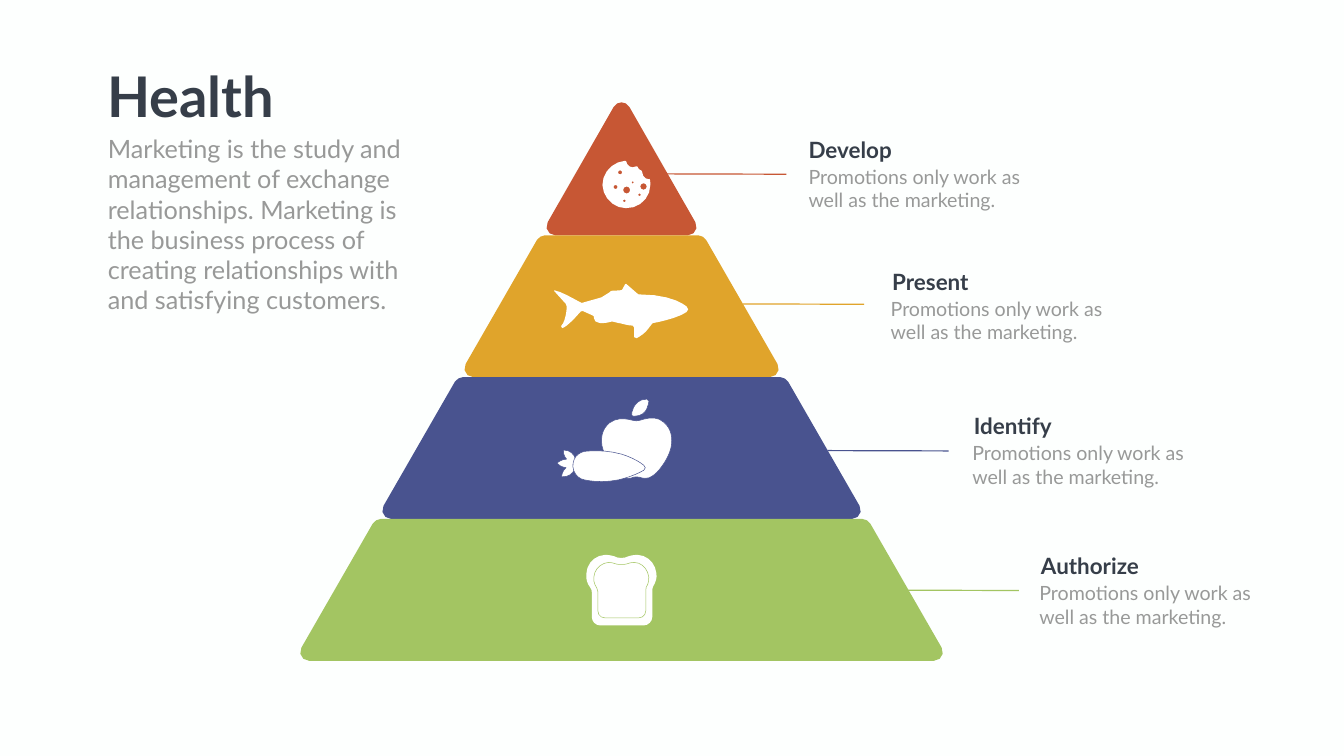
from math import cos, dist, pi, sin

from lxml import etree
from pptx import Presentation
from pptx.dml.color import RGBColor
from pptx.enum.shapes import MSO_CONNECTOR
from pptx.enum.text import MSO_AUTO_SIZE
from pptx.oxml.ns import qn
from pptx.util import Pt

STRAIGHT = MSO_CONNECTOR.STRAIGHT
GROW = MSO_AUTO_SIZE.SHAPE_TO_FIT_TEXT
WHITE = "FFFFFF"
ICON_UNIT = 0.72
CENTRE = 887.7
TIER_TOP, TIER_STEP = 336.2, 202.6
PEAK_TOP, PEAK_WIDTH, WIDTH_STEP = 144, 221, 234.5
LINE_LENGTH, LINE_DROP = 172.8, 0.5

HEADING = {"name": "Lato", "size": Pt(80), "bold": True}
INTRO = {"name": "Lato", "size": Pt(36)}
LABEL = {"name": "Lato", "size": Pt(32), "bold": True}
BODY = {"name": "Lato", "size": Pt(28)}
DARK, GREY = "363E49", "989998"

PEAK = "M 99.4 8.6 C 101.9 4.3 106.2 2.2 110.5 2.2"
SHOULDER = "M 107 6.5 C 109.5 2.9 114 0 118 0"

COOKIE = ("M 79 23 L 78 20 C 74 19 70 15 69 11 L 67 11 C 65 12 62 13 60 13 "
          "C 53 13 48 7 47 1 L 45 0 C 20 2 0 23 0 48 C 1 73 22 94 46 94 "
          "C 73 95 95 74 95 48 C 95 44 95 40 94 36 L 93 37 C 85 37 79 30 79 23")
CHIPS = [(26, 52, 4), (35, 23, 4), (43.5, 79.5, 2.5), (48, 58, 7), (60, 43, 2),
         (73.5, 67.5, 2.5), (81.5, 51, 6.5)]
FISH = ("M 263 45 C 253 37 226 21 168 21 L 166 20 L 143 0 L 141 1 L 135 12 L 131 13 "
        "L 113 14 L 110 17 L 94 27 L 55 38 L 53 37 C 46 34 17 16 1 13 L 0 14 "
        "L 19 35 C 24 39 26 44 25 50 C 24 61 21 77 14 84 C 12 86 14 89 16 88 "
        "C 21 87 31 80 53 55 L 57 54 L 77 63 L 79 65 L 79 68 "
        "C 80 73 83 77 88 77 C 90 78 93 78 97 78 C 104 78 110 76 114 75 L 116 75 "
        "C 121 76 127 78 134 79 C 141 81 150 83 156 83 C 158 83 159 85 159 87 L 159 106 "
        "C 159 108 162 110 164 108 C 169 105 176 101 182 95 C 187 89 191 84 194 80 "
        "L 196 78 C 209 76 248 67 263 56 C 267 54 267 48 263 45")
FISH_EYE = "M 0 7 C 0 10 2 12 5 12 C 8 12 11 10 11 7 C 11 3 8 0 5 0 C 2 0 0 3 0 7"
APPLE = ("M 138 37 C 136 28 131 20 124 14 C 109 0 89 6 76 10 C 74 11 70 11 69 11 "
         "C 68 11 65 11 62 10 C 51 7 32 3 16 15 C 9 21 5 27 2 36 C 0 43 0 51 1 60 "
         "C 4 73 10 87 19 99 C 28 112 38 121 46 124 C 54 126 59 125 63 123 "
         "C 65 122 68 122 69 122 C 72 122 74 122 76 123 C 79 124 82 125 86 125 "
         "C 88 125 90 125 94 124 C 102 121 111 114 120 101 C 128 90 135 77 138 64 "
         "C 140 54 140 45 138 37")
LEAF = ("M 4 34 C 20 34 27 26 30 19 C 34 12 34 4 34 4 C 34 2 32 0 30 0 C 15 0 8 9 4 16 "
        "C 0 23 0 30 0 30 L 1 33 L 4 34")
CARROT_TOP = ("M 13 0 L 12 1 C 11 7 14 14 18 18 C 11 18 5 21 0 25 L 0 27 "
              "C 5 32 11 34 17 35 C 12 39 9 45 8 52 L 9 53 "
              "C 23 54 35 44 36 30 L 35 29 L 37 26 C 37 12 27 0 13 0")
CARROT = ("M 99 8 C 70 0 45 1 31 2 C 22 2 14 6 8 13 C 1 23 0 37 8 48 C 12 54 19 58 25 59 "
          "C 39 62 63 65 93 59 C 114 54 131 47 143 40 C 147 38 147 32 143 30 "
          "C 133 22 118 14 99 8")
BREAD = ("M 140 36 C 138 17 123 1 103 0 C 96 0 90 1 84 3 C 80 5 76 6 72 6 L 69 6 "
         "C 65 6 60 5 57 3 C 51 1 45 0 38 0 C 18 1 2 17 1 38 C 0 48 3 57 9 65 "
         "C 11 67 12 71 12 74 L 12 123 C 12 132 19 140 29 140 L 115 140 "
         "C 124 140 132 132 132 123 L 132 70 C 132 67 133 64 134 62 C 138 55 142 46 140 36")
CRUMB = ("M 81 0 C 76 0 71 1 66 3 C 63 4 60 4 57 4 L 54 4 C 51 4 48 4 45 3 C 40 1 35 0 30 0 "
         "C 15 1 2 14 1 29 C 0 38 3 45 7 51 C 9 53 9 56 9 58 L 9 96 C 9 104 15 110 23 110 "
         "L 90 110 C 98 110 104 104 104 96 L 104 55 C 104 53 104 50 105 49 "
         "C 109 43 110 37 110 29 C 108 13 96 0 81 0")

TIERS = [
    {"title": "Develop", "color": "C75734", "line": (950.4, 248.4), "label": (1147.7, 190.8),
     "indent": 0, "icon": [(860.4, 229.7, COOKIE, CHIPS, False)]},
    {"title": "Present", "color": "E0A42B", "line": (1061.3, 434.2), "label": (1267.2, 379.4),
     "indent": -2.16, "icon": [(791.3, 405.4, FISH, (), False),
                               (956.2, 434.2, FISH_EYE, (), False)]},
    {"title": "Identify", "color": "49538F", "line": (1182.2, 643.7), "label": (1383.8, 585.4),
     "indent": -2.16, "icon": [(859, 593.3, APPLE, (), True), (902.2, 570.2, LEAF, (), True),
                               (796.3, 643, CARROT_TOP, (), True),
                               (816.5, 643, CARROT, (), True)]},
    {"title": "Authorize", "color": "A3C562", "line": (1282.3, 843.1), "label": (1479.6, 785.5),
     "indent": -2.16, "icon": [(836.6, 792.7, BREAD, (), False),
                               (847.4, 803.5, CRUMB, (), True)]},
]


def rgb(value):
    """Turn a hex string into a colour."""
    return RGBColor.from_string(value)


def trace(path):
    """List points along a path of M, L and C commands, more on longer curves."""
    points = []
    for part in path.replace("C", "|C").replace("L", "|L").split("|"):
        command, *numbers = part.split()
        values = [float(n) for n in numbers]
        pairs = list(zip(values[::2], values[1::2]))
        if command != "C":
            points += pairs
            continue
        curve = [points[-1]] + pairs
        steps = min(5, 1 + int(dist(curve[0], curve[3]) / 8))
        for i in range(1, steps + 1):
            t = i / steps
            weights = ((1 - t) ** 3, 3 * t * (1 - t) ** 2, 3 * t * t * (1 - t), t ** 3)
            points.append(tuple(sum(w * c[axis] for w, c in zip(weights, curve))
                                for axis in (0, 1)))
    return points


def circle(x, y, radius, steps=8):
    """List the points around a small circle."""
    return [(x + radius * cos(2 * pi * i / steps), y + radius * sin(2 * pi * i / steps))
            for i in range(steps)]


def add_outline(s, left, top, contours, fill, line=None, unit=1):
    """Draw closed contours as one filled shape."""
    placed = [[(Pt(left + x * unit), Pt(top + y * unit)) for x, y in c] for c in contours]
    builder = s.shapes.build_freeform(*placed[0][0], scale=1.0)
    for i, points in enumerate(placed):
        if i:
            builder.move_to(*points[0])
        builder.add_line_segments(points[1:], close=True)
    sp = builder.convert_to_shape()
    sp.shadow.inherit = False
    sp.fill.solid()
    sp.fill.fore_color.rgb = rgb(fill)
    if line:
        sp.line.color.rgb = rgb(line)
        sp.line.width = Pt(0.75)
    else:
        sp.line.fill.background()


def add_tier(s, left, top, width, height, corner, color):
    """Draw one rounded pyramid tier from its mirrored left half."""
    foot = f"M 16 {height} C 6.5 {height} 0 {height - 10} 5 {height - 18.7}"
    half = trace(foot) + trace(corner)
    mirrored = [(width - x, y) for x, y in reversed(half)]
    add_outline(s, left, top, [half + mirrored], color)


def add_icon(s, parts, color):
    """Draw the white parts of a tier's icon."""
    for left, top, path, holes, edged in parts:
        contours = [trace(path)] + [circle(*hole) for hole in holes]
        add_outline(s, left, top, contours, WHITE, color if edged else None, ICON_UNIT)


def add_leader(s, left, top, color):
    """Draw the line from a tier to its caption."""
    sp = s.shapes.add_connector(STRAIGHT, Pt(left), Pt(top),
                                Pt(left + LINE_LENGTH), Pt(top + LINE_DROP))
    sp.line.color.rgb = rgb(color)
    sp.line.width = Pt(1.7)
    etree.SubElement(sp._element.spPr, qn("a:effectLst"))


def add_text(s, left, top, width, height, text, style, color, wrap=True):
    """Place one paragraph of text in a box."""
    tf = s.shapes.add_textbox(Pt(left), Pt(top), Pt(width), Pt(height)).text_frame
    tf.word_wrap = wrap
    tf.auto_size = GROW
    r = tf.paragraphs[0].add_run()
    r.text = text
    for key, value in style.items():
        setattr(r.font, key, value)
    r.font.color.rgb = rgb(color)


def add_intro(s, left, top):
    """Place the slide heading and its introduction."""
    add_text(s, left, top, 258.5, 104.4, "Health", HEADING, DARK, wrap=False)
    add_text(s, left + 0.7, top + 103, 470.9, 269.3,
             "Marketing is the study and management of exchange relationships. Marketing is "
             "the business process of creating relationships with and satisfying customers.",
             INTRO, GREY)


def add_caption(s, left, top, title, indent):
    """Place a tier's title and description."""
    add_text(s, left, top, 187.9, 46.1, title, LABEL, DARK)
    add_text(s, left + indent, top + 41, 333.4, 74.9,
             "Promotions only work as well as the marketing.", BODY, GREY)


def add_pyramid(s):
    """Draw the leader lines, tiers and icons."""
    for tier in TIERS:
        add_leader(s, *tier["line"], tier["color"])
    for i, tier in enumerate(TIERS):
        width = PEAK_WIDTH + WIDTH_STEP * i
        top = TIER_TOP + TIER_STEP * (i - 1) if i else PEAK_TOP
        height = TIER_STEP if i else TIER_TOP - PEAK_TOP
        add_tier(s, CENTRE - width / 2, top, width, height,
                 SHOULDER if i else PEAK, tier["color"])
        add_icon(s, tier["icon"], tier["color"])


def main():
    """Build the slide and save it."""
    prs = Presentation()
    prs.slide_width, prs.slide_height = Pt(1919.52), Pt(1080)
    s = prs.slides.add_slide(prs.slide_layouts[6])
    s.background.fill.solid()
    s.background.fill.fore_color.rgb = rgb("FDFFFE")
    add_pyramid(s)
    add_intro(s, 146.2, 84.2)
    for tier in TIERS:
        add_caption(s, *tier["label"], tier["title"], tier["indent"])
    prs.save("out.pptx")


if __name__ == "__main__":
    main()
